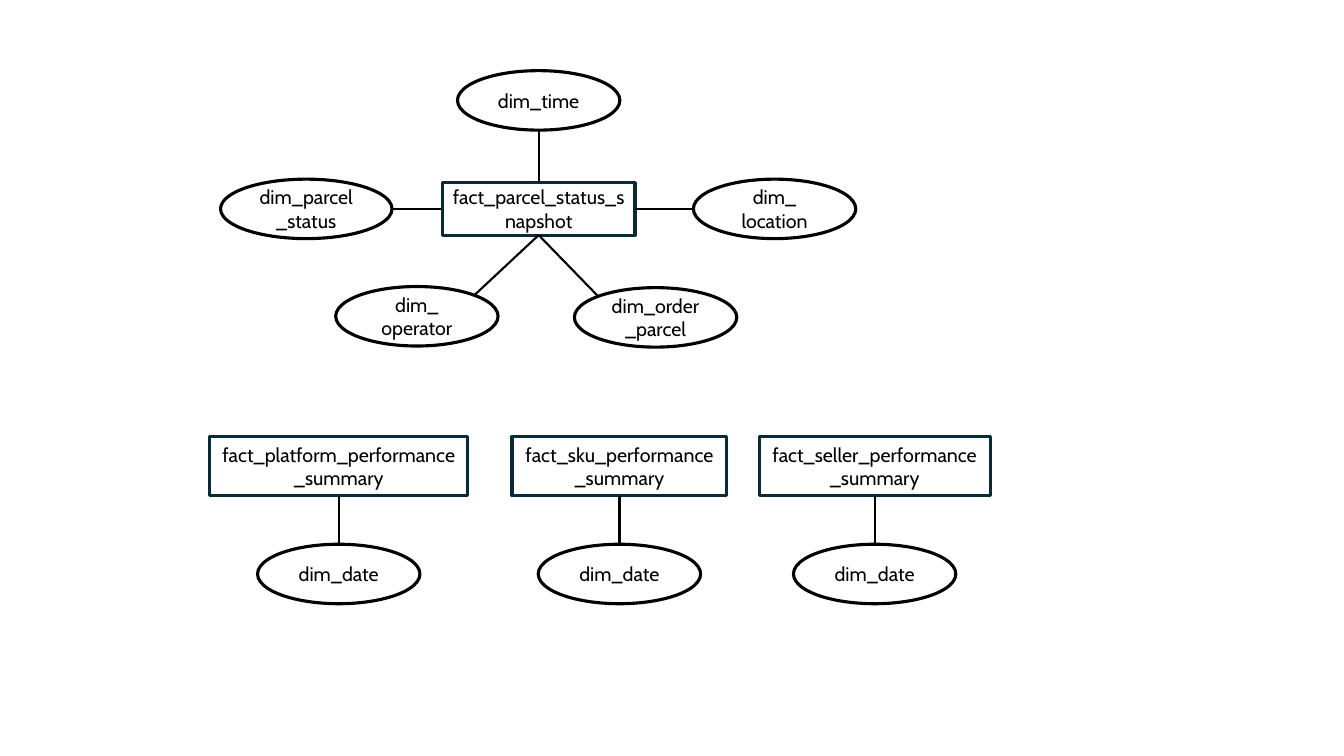
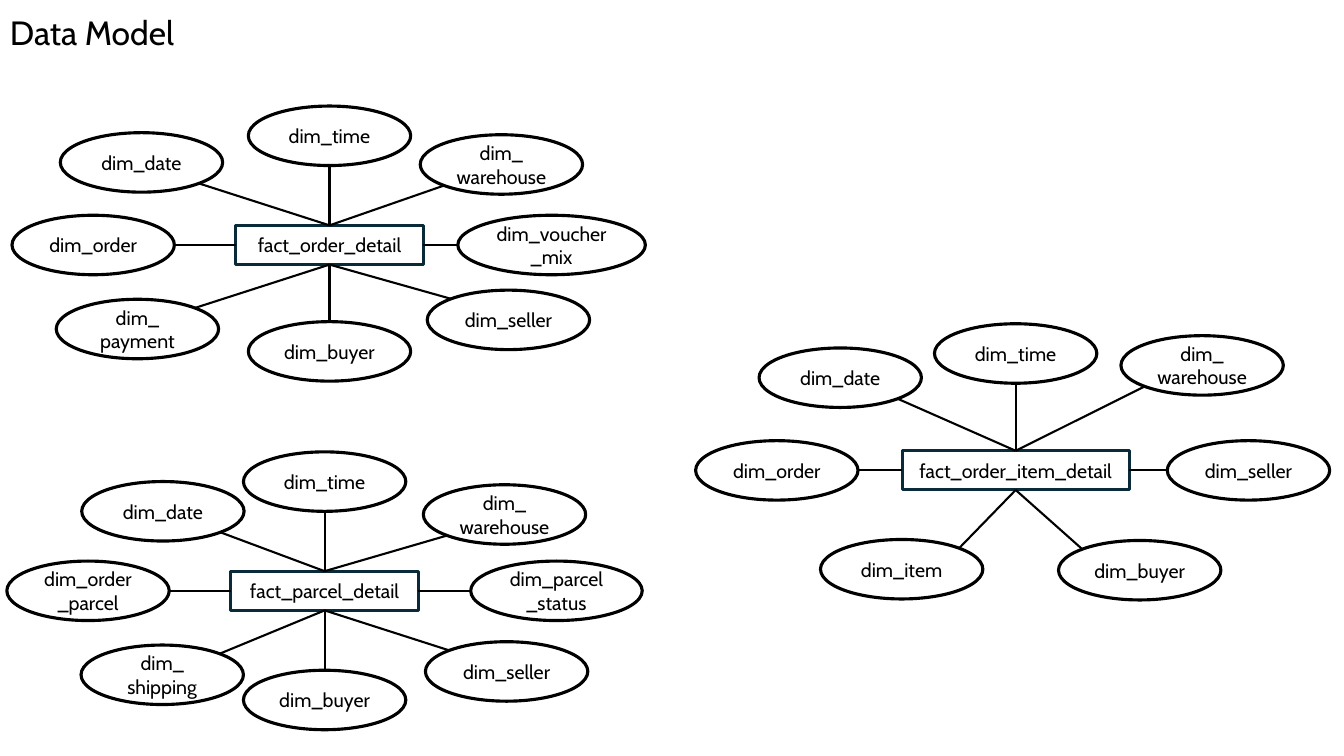
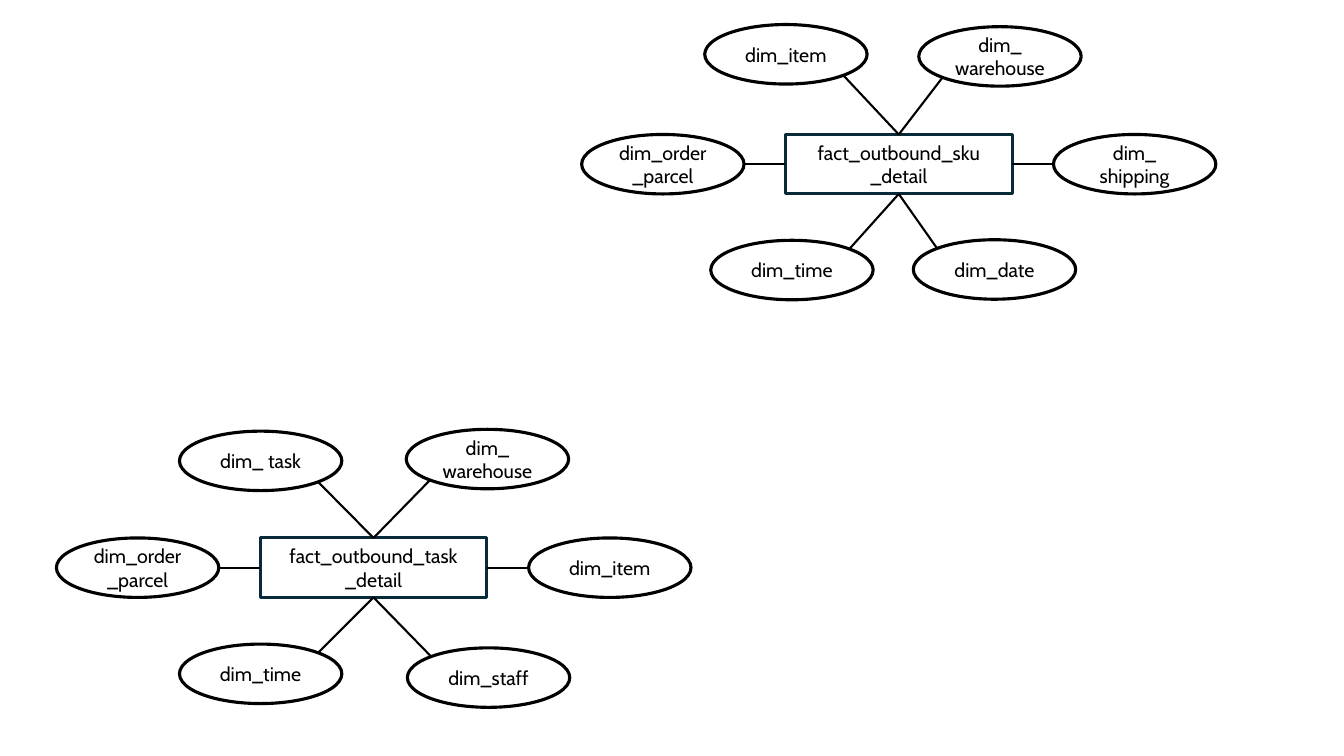
from math import copysign, sqrt

from lxml import etree
from pptx import Presentation
from pptx.dml.color import RGBColor
from pptx.enum.shapes import MSO_CONNECTOR, MSO_SHAPE
from pptx.enum.text import MSO_ANCHOR, PP_ALIGN
from pptx.oxml.ns import qn
from pptx.util import Pt

RECT, OVAL = MSO_SHAPE.RECTANGLE, MSO_SHAPE.OVAL
STRAIGHT = MSO_CONNECTOR.STRAIGHT
MIDDLE = MSO_ANCHOR.MIDDLE
LEFT, CENTER = PP_ALIGN.LEFT, PP_ALIGN.CENTER

COLORS = {"ink": "000000", "fact": "092A39"}
FONT = "Cabin"
DIM_W, DIM_H = 116, 42.5
WIDE, WIDER = 122.5, 134
LOW, TALL = 28, 42.5  # heights of one-line and two-line fact boxes
TOP_SIDE, LEFT_SIDE, BOTTOM_SIDE, RIGHT_SIDE = range(4)

# Each star: fact name, centre, size, then dimensions as
# (name, offset from the fact's centre, optional width)
PARCEL_STATUS_STAR = (
    "fact_parcel_status_snapshot", (384.8, 149.2), (137.5, 37.5), [
        ("dim_time", 0, -77.5),
        ("dim_parcel_status", -166, 0, WIDE),
        ("dim_ location", 168.5, 0),
        ("dim_ operator", -87, 76.7),
        ("dim_order_parcel", 83.5, 77.5),
    ])

SUMMARY_FACTS = [
    ("fact_platform_performance_summary", 242, 184.5),
    ("fact_sku_performance_summary", 442.5, 153.5),
    ("fact_seller_performance_summary", 624.8, 165),
]

DETAIL_STARS = [
    ("fact_order_detail", (235.4, 175), (134, LOW), [
        ("dim_date", -134.3, -59),
        ("dim_time", 0, -78),
        ("dim_ warehouse", 122.8, -57.5),
        ("dim_order", -168.8, 0),
        ("dim_voucher_mix", 158.6, 0, WIDER),
        ("dim_ payment", -137.2, 60),
        ("dim_buyer", 0, 76),
        ("dim_seller", 127.8, 53.5),
    ]),
    ("fact_parcel_detail", (231.9, 422), (134, LOW), [
        ("dim_date", -115.5, -56.8),
        ("dim_time", 0, -78),
        ("dim_ warehouse", 128.5, -54.5),
        ("dim_order_parcel", -169, 0),
        ("dim_parcel_status", 165.6, 0, WIDE),
        ("dim_ shipping", -116, 60),
        ("dim_buyer", 0, 78),
        ("dim_seller", 130, 57.6),
    ]),
    ("fact_order_item_detail", (725.5, 336), (162, LOW), [
        ("dim_date", -125.3, -66.2),
        ("dim_time", 0, -83.5),
        ("dim_ warehouse", 133.2, -75),
        ("dim_order", -170.6, 0),
        ("dim_seller", 166.3, 0),
        ("dim_item", -81.4, 70.6),
        ("dim_buyer", 88.6, 71.3),
    ]),
]

OUTBOUND_STARS = [
    ("fact_outbound_sku _detail", (642, 117.3), (162, TALL), [
        ("dim_item", -80.6, -78.5),
        ("dim_ warehouse", 72.3, -77),
        ("dim_order_parcel", -168.5, 0),
        ("dim_ shipping", 168.5, 0),
        ("dim_time", -76.3, 75.6),
        ("dim_date", 68.4, 75.2),
    ]),
    ("fact_outbound_task _detail", (266.8, 405.5), (162, TALL), [
        ("dim_ task", -80.6, -76.3),
        ("dim_ warehouse", 81.4, -77.6),
        ("dim_order_parcel", -168.5, 0),
        ("dim_item", 168.8, 0),
        ("dim_time", -80.6, 75.8),
        ("dim_staff", 82.2, 78.5),
    ]),
]


def rgb(name):
    return RGBColor.from_string(COLORS[name])


def write(sp, text, size=14, align=CENTER, color="ink", spacing=None):
    tf = sp.text_frame
    tf.word_wrap = True
    tf.vertical_anchor = MIDDLE
    p = tf.paragraphs[0]
    p.alignment = align
    p.line_spacing = spacing
    r = p.add_run()
    r.text = text
    r.font.name = FONT
    r.font.size = Pt(size)
    r.font.color.rgb = rgb(color)


def add_title(s, text):
    sp = s.shapes.add_textbox(0, 0, Pt(211), Pt(49.5))
    write(sp, text, size=24, align=LEFT, spacing=0.9)


def add_node(s, kind, text, cx, cy, w, h, line):
    """Outlined shape, placed by its centre."""
    sp = s.shapes.add_shape(kind, Pt(cx - w / 2), Pt(cy - h / 2), Pt(w), Pt(h))
    sp.shadow.inherit = False
    sp.fill.background()
    sp.line.color.rgb = rgb(line)
    sp.line.width = Pt(2.25)
    write(sp, text)
    return sp


def add_link(s, fact, side, x, y):
    """Line from the middle of a fact's side to a point on an ellipse."""
    link = s.shapes.add_connector(STRAIGHT, Pt(x), Pt(y), Pt(x), Pt(y))
    link.begin_connect(fact, side)
    link.line.color.rgb = rgb("ink")
    link.line.width = Pt(1.5)
    etree.SubElement(link._element.spPr, qn("a:effectLst"))


def add_dimension(s, fact, text, cx, cy, dx, dy, w=DIM_W):
    x, y = cx + dx, cy + dy
    add_node(s, OVAL, text, x, y, w, DIM_H, "ink")
    # The link meets the ellipse at the side or diagonal facing the fact
    if dy == 0:
        side = RIGHT_SIDE if dx > 0 else LEFT_SIDE
    else:
        side = BOTTOM_SIDE if dy > 0 else TOP_SIDE
    reach = sqrt(0.5) if dx and dy else 1
    if dx:
        x -= copysign(w / 2 * reach, dx)
    if dy:
        y -= copysign(DIM_H / 2 * reach, dy)
    add_link(s, fact, side, x, y)


def add_star(s, name, center, size, dimensions):
    fact = add_node(s, RECT, name, *center, *size, "fact")
    for text, *place in dimensions:
        add_dimension(s, fact, text, *center, *place)


def main():
    prs = Presentation()
    prs.slide_width, prs.slide_height = Pt(960), Pt(540)
    blank = prs.slide_layouts[6]

    # Parcel status and performance summaries
    s = prs.slides.add_slide(blank)
    add_star(s, *PARCEL_STATUS_STAR)
    for name, cx, w in SUMMARY_FACTS:
        add_star(s, name, (cx, 333), (w, TALL), [("dim_date", 0, 77)])

    # Order and parcel details
    s = prs.slides.add_slide(blank)
    add_title(s, "Data Model")
    for star in DETAIL_STARS:
        add_star(s, *star)

    # Outbound details
    s = prs.slides.add_slide(blank)
    for star in OUTBOUND_STARS:
        add_star(s, *star)

    prs.save("out.pptx")


if __name__ == "__main__":
    main()
